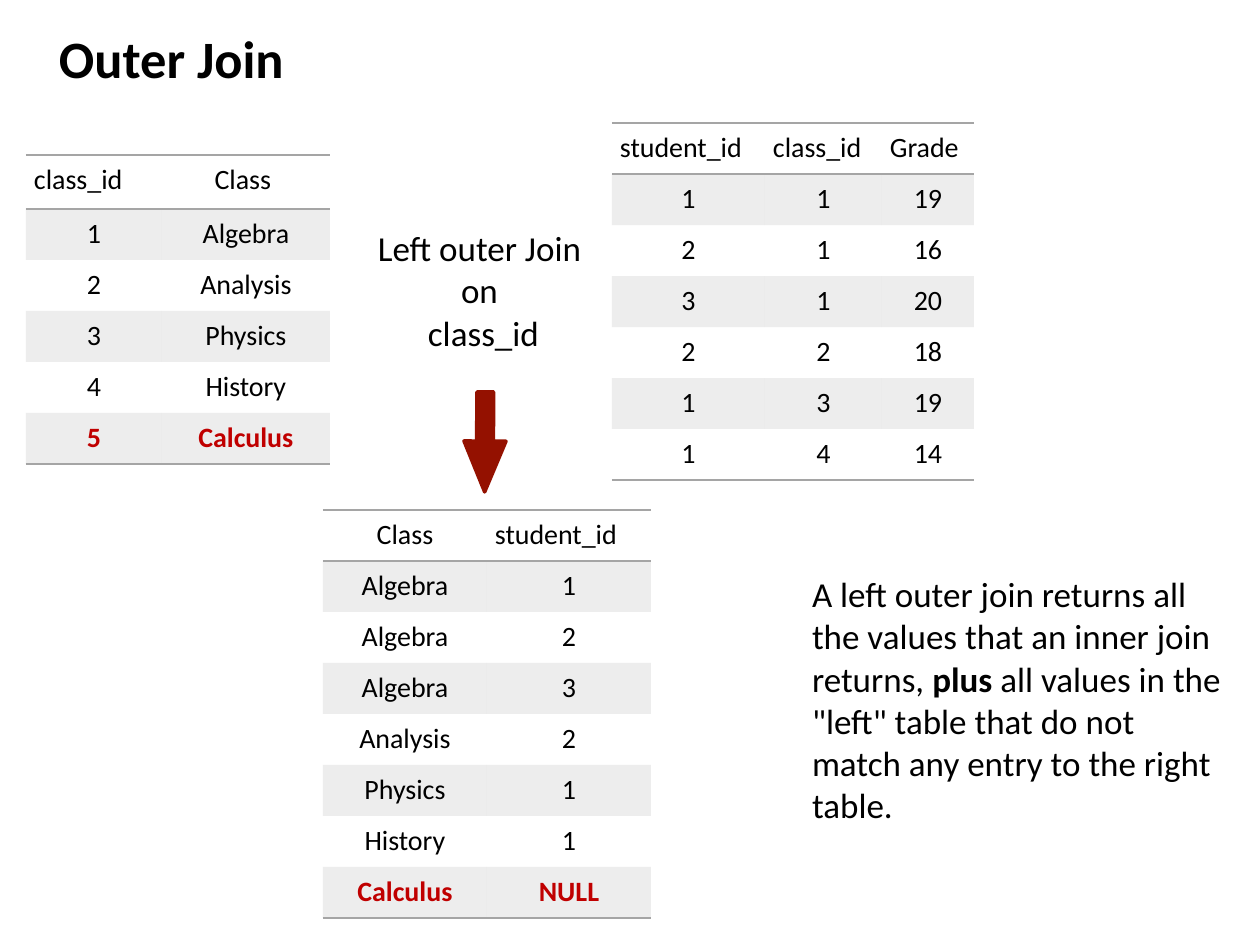
from dataclasses import dataclass

from lxml import etree
from pptx import Presentation
from pptx import util as u
from pptx.dml.color import RGBColor
from pptx.enum import shapes, text
from pptx.oxml import ns

SCALE = 914400 / 126
NO_STYLE = "{2D5ABB26-0587-4C30-8999-92F81FD0307C}"
LEFT, CENTER = text.PP_ALIGN.LEFT, text.PP_ALIGN.CENTER


def px(n):
    return u.Emu(round(n * SCALE))


@dataclass(frozen=True)
class Theme:
    font: str = "Calibri"
    ink: str = "000000"
    accent: str = "C00000"
    arrow: str = "941100"
    rule: str = "A5A5A5"
    band_alpha: int = 20000
    title: int = 30
    body: int = 20
    cell: int = 16
    inset: int = 6
    cell_inset: int = 8


class SlideBuilder:
    def __init__(self, slide, theme):
        self.s = slide
        self.t = theme

    def format(self, p, size, align=LEFT, color=None, bold=False):
        p.alignment = align
        for r in p.runs:
            r.font.name = self.t.font
            r.font.size = u.Pt(size)
            r.font.bold = bold
            r.font.color.rgb = RGBColor.from_string(color or self.t.ink)

    def frame(self, sp, wrap):
        tf = sp.text_frame
        tf.word_wrap = wrap
        tf.auto_size = text.MSO_AUTO_SIZE.SHAPE_TO_FIT_TEXT
        tf.vertical_anchor = text.MSO_ANCHOR.TOP
        tf.margin_left = tf.margin_right = px(self.t.inset)
        tf.margin_top = tf.margin_bottom = px(self.t.inset)
        return tf

    def title(self, words, x, y, w, h):
        sp = self.s.shapes.title
        sp.left, sp.top, sp.width, sp.height = map(px, (x, y, w, h))
        tf = self.frame(sp, True)
        tf.text = words
        self.format(tf.paragraphs[0], self.t.title, bold=True)

    def textbox(self, lines, x, y, w, h, align=LEFT, wrap=True, strong=None):
        sp = self.s.shapes.add_textbox(*map(px, (x, y, w, h)))
        tf = self.frame(sp, wrap)
        for i, runs in enumerate(lines):
            p = tf.add_paragraph() if i else tf.paragraphs[0]
            for words in runs:
                p.add_run().text = words
            self.format(p, self.t.body, align)
            for r in p.runs:
                r.font.bold = r.text == strong

    def border(self, cell, *sides):
        tcPr = cell._tc.get_or_add_tcPr()
        for i, side in enumerate(sides):
            ln = etree.Element(ns.qn(f"a:ln{side}"), w=str(u.Pt(1)))
            fill = etree.SubElement(ln, ns.qn("a:solidFill"))
            etree.SubElement(fill, ns.qn("a:srgbClr"), val=self.t.rule)
            tcPr.insert(i, ln)

    def band(self, cell):
        cell.fill.solid()
        cell.fill.fore_color.rgb = RGBColor.from_string(self.t.rule)
        clr = cell._tc.tcPr.find(".//" + ns.qn("a:srgbClr"))
        etree.SubElement(clr, ns.qn("a:alpha"), val=str(self.t.band_alpha))

    def table(self, rows, x, y, widths, aligns, head=51, row=51, mark_last=False):
        last = len(rows) - 1
        heights = [head] + [row] * last
        gf = self.s.shapes.add_table(len(rows), len(widths), px(x), px(y),
                                     px(sum(widths)), px(sum(heights)))
        tbl = gf.table
        tbl.first_row = tbl.horz_banding = False
        tbl._tbl.tblPr.find(ns.qn("a:tableStyleId")).text = NO_STYLE
        for col, w in zip(tbl.columns, widths):
            col.width = px(w)
        for i, (values, h) in enumerate(zip(rows, heights)):
            tbl.rows[i].height = px(h)
            marked = mark_last and i == last
            for j, value in enumerate(values):
                cell = tbl.cell(i, j)
                cell.margin_left = cell.margin_right = px(self.t.cell_inset)
                cell.margin_top = cell.margin_bottom = px(self.t.cell_inset)
                cell.text = value
                self.format(cell.text_frame.paragraphs[0], self.t.cell,
                            CENTER if i else aligns[j],
                            self.t.accent if marked else self.t.ink, marked)
                if i % 2:
                    self.band(cell)
                else:
                    cell.fill.background()
                if i == 0:
                    self.border(cell, "T", "B")
                elif i == last:
                    self.border(cell, "B")

    def arrow(self, x, y, w, h, rotation):
        sp = self.s.shapes.add_shape(shapes.MSO_SHAPE.RIGHT_ARROW,
                                     *map(px, (x, y, w, h)))
        sp.rotation = rotation
        sp.adjustments[0], sp.adjustments[1] = 0.4, 1.21
        sp.shadow.inherit = False
        sp.fill.solid()
        sp.fill.fore_color.rgb = RGBColor.from_string(self.t.arrow)
        sp.line.color.rgb = RGBColor.from_string(self.t.arrow)
        sp.line.width = u.Pt(2)
        etree.SubElement(sp.line._ln, ns.qn("a:round"))


def main():
    prs = Presentation()
    prs.slide_width, prs.slide_height = px(1260), px(945)
    s = SlideBuilder(prs.slides.add_slide(prs.slide_layouts[5]), Theme())

    s.title("Outer Join", 53, 20, 1068, 77)

    grades = [("student_id", "class_id", "Grade"), ("1", "1", "19"),
              ("2", "1", "16"), ("3", "1", "20"), ("2", "2", "18"),
              ("1", "3", "19"), ("1", "4", "14")]
    s.table(grades, 612, 123, [153, 117, 92], [LEFT] * 3)

    s.textbox([["A left outer join returns all the values that an inner join returns, ",
                "plus",
                " all values in the \"left\" table that do not match any entry "
                "to the right table."]],
              806, 567, 422, 267, strong="plus")

    joined = [("Class", "student_id"), ("Algebra", "1"), ("Algebra", "2"),
              ("Algebra", "3"), ("Analysis", "2"), ("Physics", "1"),
              ("History", "1"), ("Calculus", "NULL")]
    s.table(joined, 323, 510, [164, 164], [CENTER, LEFT], mark_last=True)

    s.textbox([["Left outer Join "], ["on "], ["class_id"]],
              370, 221, 227, 140, align=CENTER, wrap=False)
    s.arrow(435, 421, 100, 42, 90.4)

    names = ["Algebra", "Analysis", "Physics", "History", "Calculus"]
    classes = [("class_id", "Class ")]
    classes += [(str(n), name) for n, name in enumerate(names, 1)]
    s.table(classes, 26, 155, [136, 168], [LEFT, CENTER], head=54,
            mark_last=True)

    prs.save("out.pptx")


if __name__ == "__main__":
    main()
